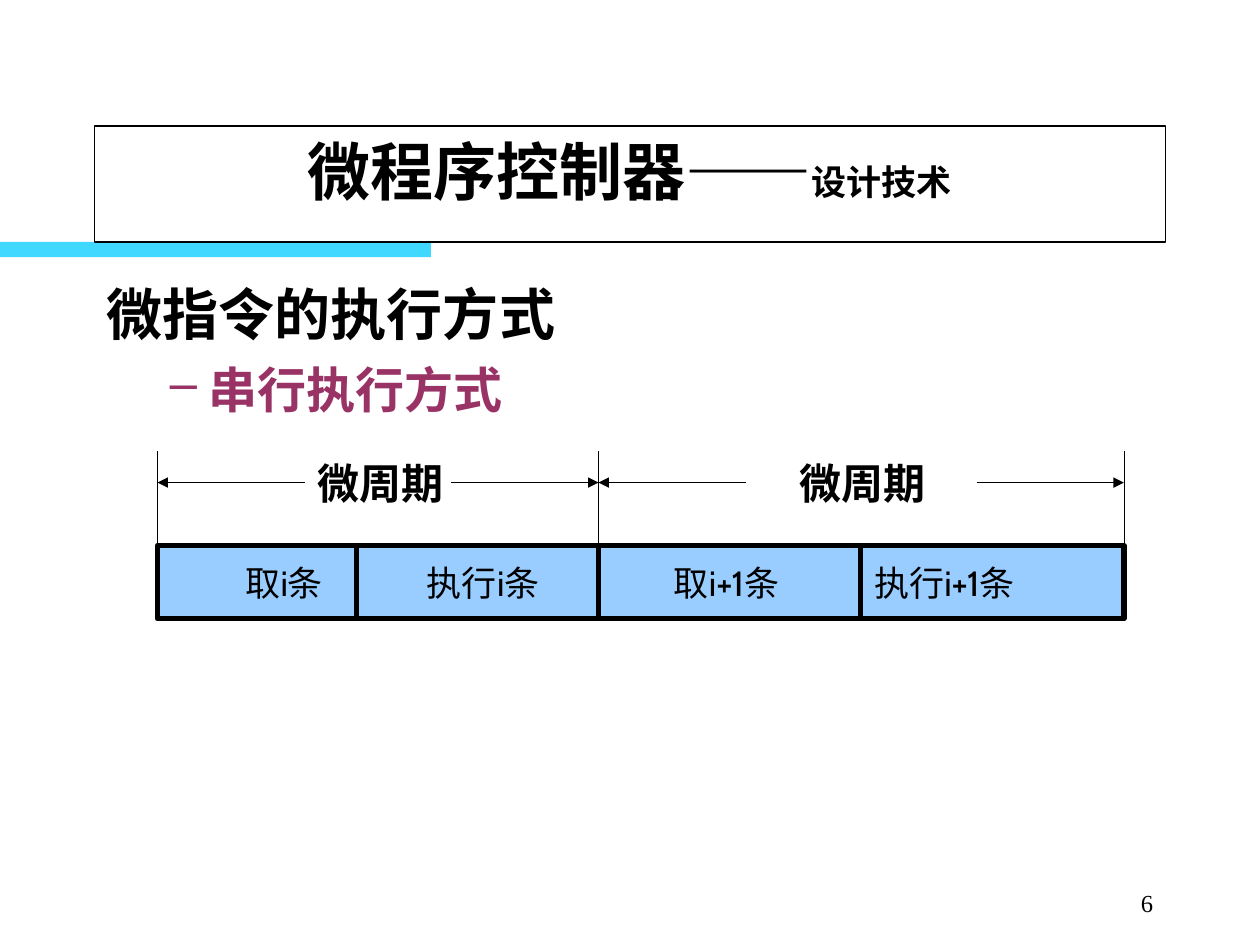
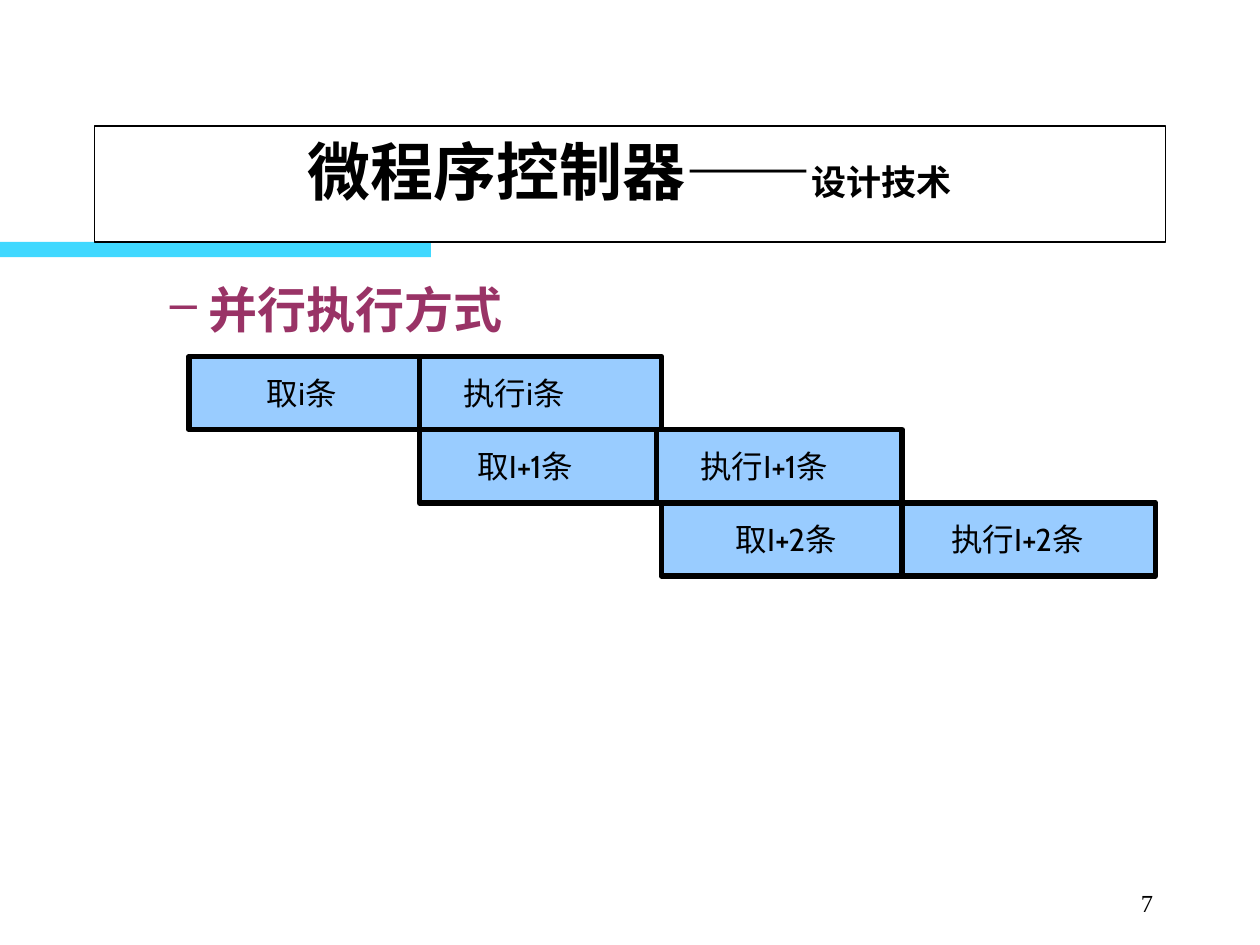
from lxml.etree import SubElement
from pptx import Presentation
from pptx.dml.color import RGBColor
from pptx.enum.shapes import MSO_CONNECTOR, MSO_SHAPE as SHAPE
from pptx.enum.text import MSO_ANCHOR as ANCHOR, PP_ALIGN as ALIGN
from pptx.oxml.ns import qn
from pptx.util import Inches, Pt

BLACK = RGBColor(0x00, 0x00, 0x00)
WHITE = RGBColor(0xFF, 0xFF, 0xFF)
CYAN = RGBColor(0x00, 0xCC, 0xFF)
PLUM = RGBColor(0x99, 0x33, 0x66)
SKY = RGBColor(0x99, 0xCC, 0xFF)

SERIF, SANS, CJK = "Times New Roman", "Cabin", "Noto Sans CJK SC"

WIDTH, HEIGHT = 10, 7.5
MARGIN = 0.75
CONTENT_W = WIDTH - 2 * MARGIN
TITLE_TOP, TITLE_H = 1, 0.92
INSET = 0.1
ROW_H = 0.58
THICK, THIN = 3.25, 0.25


def add_text(tf, text, size, font=SERIF, color=BLACK, bold=False,
             align=ALIGN.LEFT, p=None, before=0, bullet=None, tabs=()):
    """Add text as a run of p, or as a new paragraph when p is not given."""
    if p is None:
        p = tf.paragraphs[0] if not tf.text else tf.add_paragraph()
        p.alignment = align
        p.space_before = Pt(before)
        pPr = p._p.get_or_add_pPr()
        if bullet:
            pPr.set("marL", str(Inches(0.81)))
            pPr.set("indent", str(Inches(-0.31)))
            clr = SubElement(pPr, qn("a:buClr"))
            SubElement(clr, qn("a:srgbClr"), val=str(color))
            SubElement(pPr, qn("a:buChar"), char=bullet)
        if tabs:
            stops = SubElement(pPr, qn("a:tabLst"))
            for x in tabs:
                SubElement(stops, qn("a:tab"), pos=str(Inches(x)), algn="l")
    r = p.add_run()
    r.text = text
    r.font.size = Pt(size)
    r.font.name = font
    r.font.bold = bold
    r.font.color.rgb = color
    SubElement(r._r.get_or_add_rPr(), qn("a:ea"), typeface=CJK)
    return p


def add_box(s, x, y, w, h, fill, line=None, kind=SHAPE.RECTANGLE,
            anchor=ANCHOR.TOP):
    sp = s.shapes.add_shape(kind, Inches(x), Inches(y), Inches(w), Inches(h))
    sp.shadow.inherit = False
    sp.fill.solid()
    sp.fill.fore_color.rgb = fill
    if line:
        sp.line.color.rgb = BLACK
        sp.line.width = Pt(line)
    else:
        sp.line.fill.background()
    sp.text_frame.word_wrap = True
    sp.text_frame.vertical_anchor = anchor
    return sp


def add_frame(s, x, y, w, h, anchor=ANCHOR.TOP):
    tf = s.shapes.add_textbox(Inches(x), Inches(y), Inches(w),
                              Inches(h)).text_frame
    tf.word_wrap = True
    tf.vertical_anchor = anchor
    return tf


def add_line(s, x1, y1, x2, y2, width, arrow=False):
    """Draw a line, with an arrowhead at its second point if asked."""
    cxn = s.shapes.add_connector(MSO_CONNECTOR.STRAIGHT, Inches(x1),
                                 Inches(y1), Inches(x2), Inches(y2))
    cxn.line.color.rgb = BLACK
    cxn.line.width = Pt(width)
    if arrow:
        SubElement(cxn.line._get_or_add_ln(), qn("a:tailEnd"), type="triangle")
    SubElement(cxn._element.spPr, qn("a:effectLst"))


def add_base(prs, number):
    """Add a slide with band, title and number; return it with its body."""
    s = prs.slides.add_slide(prs.slide_layouts[6])
    bottom = TITLE_TOP + TITLE_H
    band = add_box(s, 0, bottom, 3.42, 0.12, CYAN)
    clr = band.fill._xPr.find(qn("a:solidFill"))[0]
    SubElement(clr, qn("a:alpha"), val="75000")

    tf = add_frame(s, 7.17, 6.83, 2.08, 0.5, ANCHOR.BOTTOM)
    add_text(tf, str(number), 14, align=ALIGN.RIGHT)

    tf = add_box(s, MARGIN, TITLE_TOP, CONTENT_W, TITLE_H, WHITE,
                 0.75).text_frame
    p = add_text(tf, "微程序控制器——", 36, bold=True, align=ALIGN.CENTER)
    add_text(tf, "设计技术", 20, bold=True, p=p)
    return s, add_frame(s, MARGIN, bottom + 0.25, CONTENT_W, 4.5)


def add_mode(tf, text, before=0):
    add_text(tf, text, 28, color=PLUM, bold=True, before=before, bullet="–")


def add_stage_bar(s, left, right, y, dividers, stages, size):
    """Draw a divided bar; stages maps each label to its x on the slide."""
    bar = add_box(s, left, y, right - left, ROW_H, SKY, THICK,
                  SHAPE.FLOWCHART_PROCESS, ANCHOR.MIDDLE)
    add_text(bar.text_frame, "".join("\t" + label for label in stages), size,
             SANS, tabs=[x - left - INSET for x in stages.values()])
    for x in dividers:
        add_line(s, x, y, x, y + ROW_H, THICK)


def add_cycle(s, left, right, label_x, y):
    """Mark one cycle with a label between two outward arrows."""
    arrow_y, reach = y + 0.25, 1.17
    add_line(s, left + reach, arrow_y, left, arrow_y, THIN, arrow=True)
    add_line(s, right - reach, arrow_y, right, arrow_y, THIN, arrow=True)
    add_text(add_frame(s, label_x, y, 1.67, 0.5), "微周期", 24, SANS, bold=True)


def add_serial_slide(prs):
    s, body = add_base(prs, 6)
    add_text(body, "微指令的执行方式", 32, CJK, bold=True)
    add_mode(body, "串行执行方式", before=7)

    start, middle, end = bounds = 1.25, 4.75, 8.92
    cycle_y, bar_y = 3.58, 4.33
    add_stage_bar(s, start, end, bar_y, (2.83, middle, 6.83),
                  {"取i条": 1.95, "执行i条": 3.39,
                   "取i+1条": 5.35, "执行i+1条": 6.94}, 20)
    for x in bounds:
        add_line(s, x, cycle_y, x, bar_y, THIN)
    add_cycle(s, start, middle, 2.42, cycle_y)
    add_cycle(s, middle, end, 6.25, cycle_y)


def add_parallel_slide(prs):
    s, body = add_base(prs, 7)
    add_mode(body, "并行执行方式")
    rows = [
        (1.5, 3.33, 5.25, {"取i条": 2.12, "执行i条": 3.68}),
        (3.33, 5.21, 7.16, {"取I+1条": 3.79, "执行I+1条": 5.56}),
        (5.25, 7.16, 9.17, {"取I+2条": 5.84, "执行I+2条": 7.55}),
    ]
    for i, (left, divider, right, stages) in enumerate(rows):
        add_stage_bar(s, left, right, 2.83 + i * ROW_H, [divider], stages, 18)


def main():
    prs = Presentation()
    prs.slide_width, prs.slide_height = Inches(WIDTH), Inches(HEIGHT)
    add_serial_slide(prs)
    add_parallel_slide(prs)
    prs.save("out.pptx")


if __name__ == "__main__":
    main()
